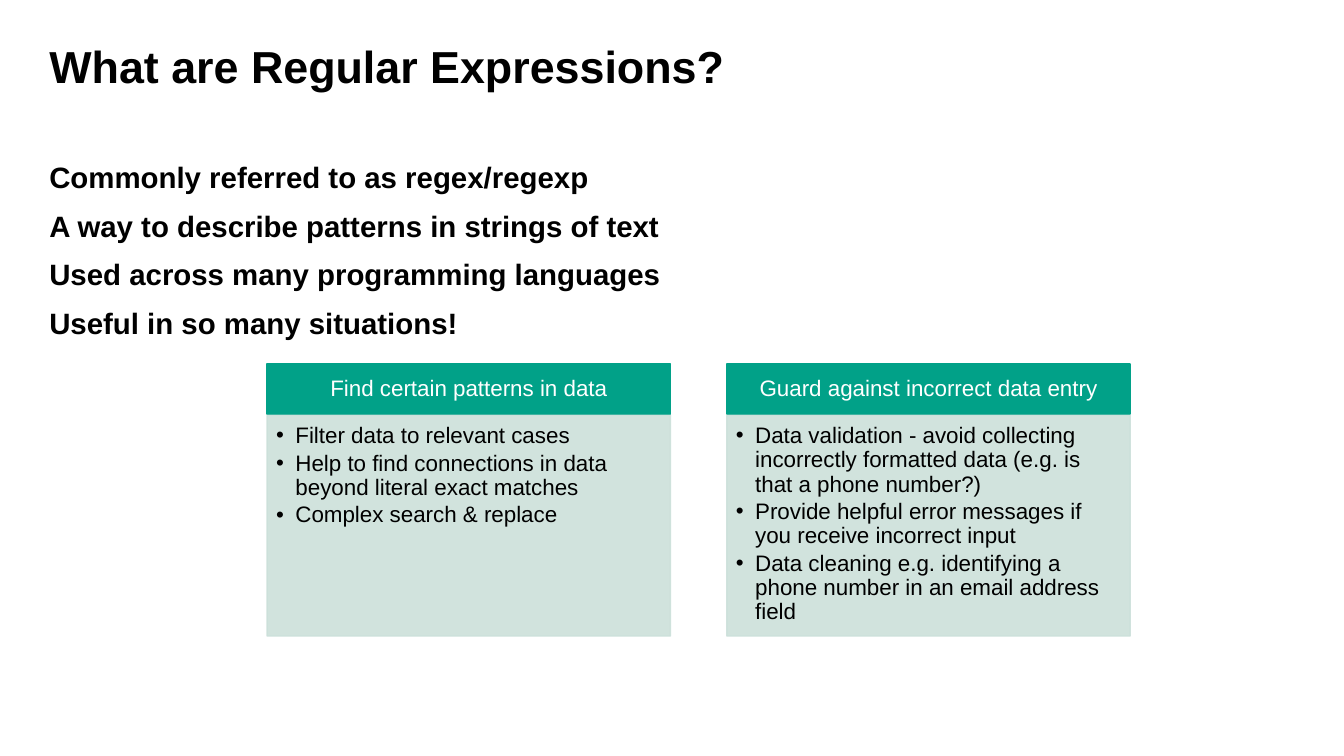
from lxml.etree import SubElement
from pptx import Presentation
from pptx.dml.color import RGBColor
from pptx.enum.shapes import MSO_SHAPE
from pptx.enum.text import MSO_ANCHOR, MSO_AUTO_SIZE, PP_ALIGN
from pptx.oxml.ns import qn
from pptx.util import Inches, Pt

BLACK = RGBColor(0x00, 0x00, 0x00)
WHITE = RGBColor(0xFF, 0xFF, 0xFF)
GREEN = RGBColor(0x01, 0xA1, 0x88)
PALE_GREEN = RGBColor(0xCC, 0xE0, 0xDA)

TITLE = "What are Regular Expressions?"
POINTS = [
    "Commonly referred to as regex/regexp",
    "A way to describe patterns in strings of text",
    "Used across many programming languages",
    "Useful in so many situations!",
]
USES = [
    ("Find certain patterns in data", [
        "Filter data to relevant cases",
        "Help to find connections in data beyond literal exact matches",
        "Complex search & replace",
    ]),
    ("Guard against incorrect data entry", [
        "Data validation - avoid collecting incorrectly formatted data (e.g. is that a phone number?)",
        "Provide helpful error messages if you receive incorrect input",
        "Data cleaning e.g. identifying a phone number in an email address field",
    ]),
]
MARGIN, CONTENT_WIDTH = 0.39, 12.52
PANEL_LEFT, PANEL_STEP, PANEL_WIDTH = 2.65, 4.56, 4
HEADER_TOP, HEADER_HEIGHT = 3.61, 0.5
LIST_TOP, LIST_HEIGHT = 4.12, 2.19


class SlideBuilder:
    font_name = "Arial"
    line_spacing = 0.9

    def __init__(self, deck):
        self.page = deck.slides.add_slide(deck.slide_layouts[5])

    def place(self, box, left, top, width, height):
        box.left, box.top = Inches(left), Inches(top)
        box.width, box.height = Inches(width), Inches(height)

    def set_text(self, frame, lines, size, color, bold=False, align=PP_ALIGN.LEFT,
                 after=None, after_percent=None, bullet=False):
        frame.word_wrap = True
        frame.auto_size = MSO_AUTO_SIZE.NONE
        frame.text = "\n".join(lines)
        for para in frame.paragraphs:
            para.alignment = align
            para.line_spacing = self.line_spacing
            para.space_before = Pt(0)
            if after is not None:
                para.space_after = Pt(after)
            if after_percent is not None:
                self.space_after_percent(para, after_percent)
            if bullet:
                self.add_bullet(para)
            para.font.name = self.font_name
            para.font.size = Pt(size)
            para.font.bold = bold
            para.font.color.rgb = color

    def space_after_percent(self, para, percent):
        spacing = SubElement(para._p.get_or_add_pPr(), qn("a:spcAft"))
        SubElement(spacing, qn("a:spcPct")).set("val", str(percent * 1000))

    def add_bullet(self, para):
        para.level = 1
        properties = para._p.get_or_add_pPr()
        indent = Inches(0.19)
        properties.set("marL", str(indent))
        properties.set("indent", str(-indent))
        SubElement(properties, qn("a:buFont")).set("typeface", self.font_name)
        SubElement(properties, qn("a:buChar")).set("char", "•")

    def title(self, text, *place):
        box = self.page.shapes.title
        self.place(box, *place)
        box.text_frame.vertical_anchor = MSO_ANCHOR.TOP
        self.set_text(box.text_frame, [text], 32, BLACK, bold=True)

    def statements(self, lines, *place):
        box = self.page.shapes.add_textbox(*map(Inches, place))
        self.set_text(box.text_frame, lines, 21, BLACK, bold=True, after=12)

    def panel(self, place, color, insets, anchor, opacity=None):
        box = self.page.shapes.add_shape(MSO_SHAPE.RECTANGLE, *map(Inches, place))
        box.shadow.inherit = False
        box.fill.solid()
        box.fill.fore_color.rgb = color
        box.line.color.rgb = color
        box.line.width = Pt(1)
        if opacity is not None:
            for tint in box._element.spPr.iter(qn("a:srgbClr")):
                SubElement(tint, qn("a:alpha")).set("val", str(opacity * 1000))
        frame = box.text_frame
        frame.vertical_anchor = anchor
        (frame.margin_left, frame.margin_top,
         frame.margin_right, frame.margin_bottom) = map(Inches, insets)
        return frame

    def use_case(self, left, heading, items):
        header = self.panel((left, HEADER_TOP, PANEL_WIDTH, HEADER_HEIGHT), GREEN,
                            (0.12, 0.07, 0.12, 0.07), MSO_ANCHOR.MIDDLE)
        self.set_text(header, [heading], 16, WHITE, align=PP_ALIGN.CENTER, after_percent=35)
        details = self.panel((left, LIST_TOP, PANEL_WIDTH, LIST_HEIGHT), PALE_GREEN,
                             (0.09, 0.09, 0.12, 0.14), MSO_ANCHOR.TOP, opacity=90)
        self.set_text(details, items, 16, BLACK, after_percent=15, bullet=True)


def main():
    deck = Presentation()
    deck.slide_width, deck.slide_height = Inches(13.33), Inches(7.5)
    builder = SlideBuilder(deck)

    # Title and key statements
    builder.title(TITLE, MARGIN, 0.39, CONTENT_WIDTH, 0.92)
    builder.statements(POINTS, MARGIN, 1.57, CONTENT_WIDTH, 4.76)

    # Two panels of use cases
    for index, (heading, items) in enumerate(USES):
        builder.use_case(PANEL_LEFT + index * PANEL_STEP, heading, items)

    deck.save("out.pptx")


if __name__ == "__main__":
    main()
